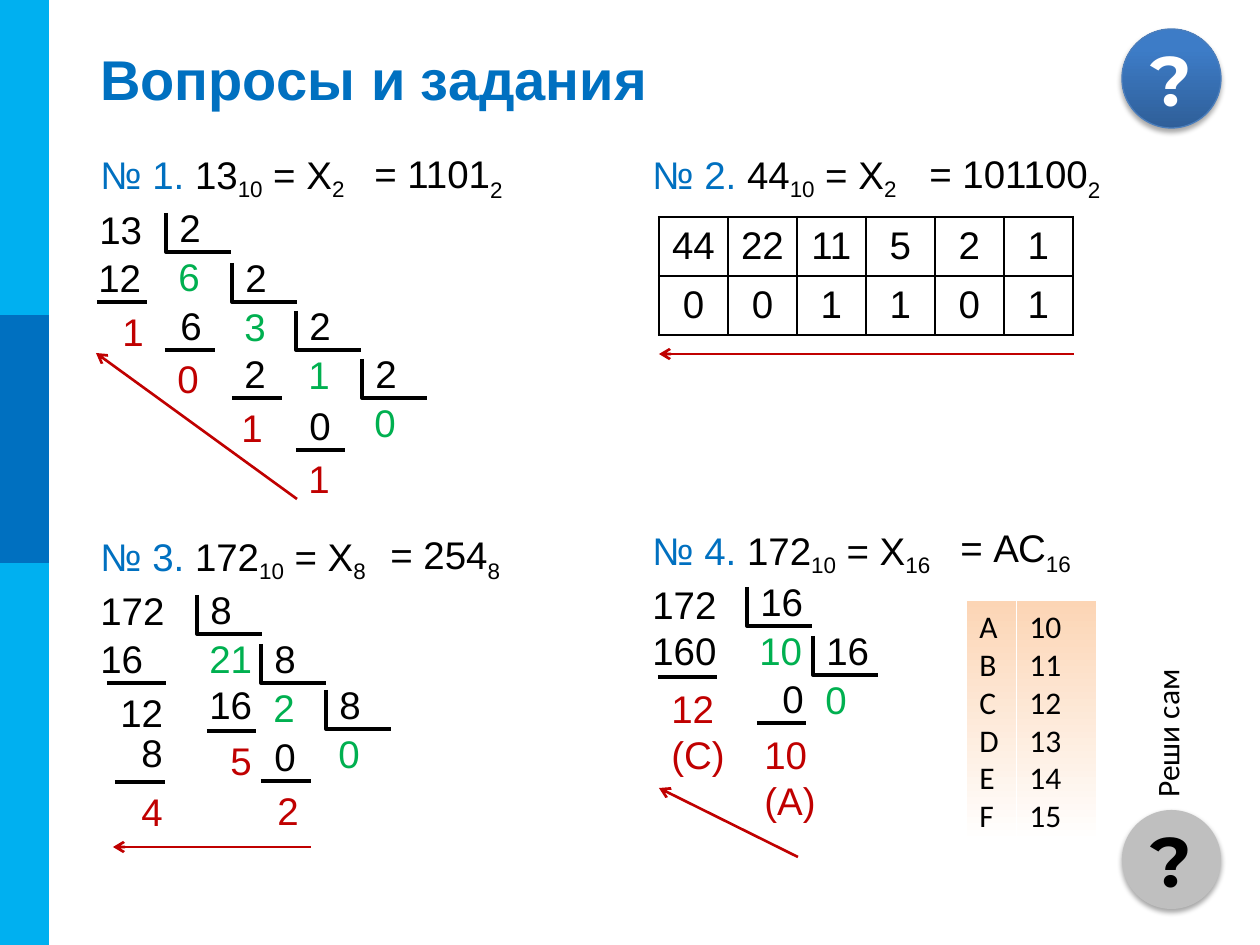
from lxml.etree import SubElement
from pptx import Presentation
from pptx.dml.color import RGBColor
from pptx.enum.shapes import MSO_CONNECTOR as Connector, MSO_SHAPE as Shape
from pptx.enum.text import MSO_ANCHOR as Anchor, PP_ALIGN as Align
from pptx.oxml.ns import qn
from pptx.util import Pt

PX = 914400 / 126
BLUE, GREEN, RED, BLACK = "0070C0", "00B050", "C00000", "000000"
rgb = RGBColor.from_string

deck = Presentation()
deck.slide_width, deck.slide_height = round(1260 * PX), round(945 * PX)
page = deck.slides.add_slide(deck.slide_layouts[6])
shapes = page.shapes


def emu(*lengths):
    """Turn px into EMU."""
    return [round(length * PX) for length in lengths]


def write(holder, text, colour=BLACK, size=22, font="Arial", bold=False,
          align=Align.LEFT, anchor=Anchor.TOP):
    """Fill a shape with text, one paragraph per line; return the first one."""
    frame = holder.text_frame
    frame.word_wrap = True
    frame.vertical_anchor = anchor
    frame.text = text
    for para in frame.paragraphs:
        para.alignment = align
        para.font.name, para.font.size, para.font.bold = font, Pt(size), bold
        para.font.color.rgb = rgb(colour)
    return frame.paragraphs[0]


# Side band and title
for top, height, colour in [(0, 945, "00B0F0"), (315, 248, BLUE)]:
    band = shapes.add_shape(Shape.RECTANGLE, *emu(0, top, 49, height))
    band.shadow.inherit = False
    band.fill.solid()
    band.fill.fore_color.rgb = rgb(colour)
    band.line.fill.background()

title = shapes.add_textbox(*emu(88, 38, 1137, 81))
write(title, "Вопросы и задания", BLUE, 32, bold=True, anchor=Anchor.MIDDLE)

# Round question marks
for top, colour in [(29, "FFFFFF"), (810, BLACK)]:
    badge = shapes.add_shape(Shape.OVAL, *emu(1122, top, 99, 99))
    if colour == BLACK:
        badge.fill.solid()
        badge.fill.fore_color.rgb = rgb("BFBFBF")
        badge.line.fill.background()
    else:
        badge.fill.gradient()
        badge.fill.gradient_angle = 90
        dark, light = badge.fill.gradient_stops
        dark.color.rgb, light.color.rgb = rgb("2F5F99"), rgb("3D7CC7")
        light.position = 0.8
        badge.line.color.rgb = rgb("4B7EBC")
        badge.line.width = Pt(0.75)
    badge.shadow.inherit = False
    effects = badge._element.spPr.find(qn("a:effectLst"))
    shadow = SubElement(effects, qn("a:outerShdw"), blurRad="39000",
                        dist="23000", dir="5400000", rotWithShape="0")
    shade = SubElement(shadow, qn("a:srgbClr"), val=BLACK)
    SubElement(shade, qn("a:alpha"), val="35000")
    write(badge, "?", colour, 40, "Montserrat", True, Align.CENTER, Anchor.MIDDLE)

# Tasks: number, decimal value, base, place, answer and its place
tasks = [
    (1, "13", "2", 88, 147, "1101", 362, 144),
    (2, "44", "2", 640, 147, "101100", 917, 144),
    (3, "172", "8", 88, 529, "254", 378, 525),
    (4, "172", "16", 640, 523, "АС", 948, 518),
]
for number, value, base, left, top, answer, answer_left, answer_top in tasks:
    question = shapes.add_textbox(*emu(left, top, 400, 59))
    result = shapes.add_textbox(*emu(answer_left, answer_top, 238, 59))
    para = write(question, "")
    para.line_spacing, para.space_before = 0.9, Pt(4.4)
    parts = [(para, f"№ {number}. ", 0), (para, value, 0), (para, "10", -20),
             (para, " = Х", 0), (para, base, -20)]
    para = write(result, "")
    parts += [(para, f"= {answer}", 0), (para, base, -25)]
    for para, text, drop in parts:
        span = para.add_run()
        span.text = text
        if drop:
            span._r.get_or_add_rPr().set("baseline", str(drop * 1000))
        if text.startswith("№"):
            span.font.color.rgb = rgb(BLUE)

# Long division: corner place, divisor, quotient
steps = [
    (166, 213, "2", "6"), (232, 263, "2", "3"),
    (296, 311, "2", "1"), (362, 359, "2", "0"),
    (197, 595, "8", "21"), (261, 644, "8", "2"), (326, 690, "8", "0"),
    (747, 587, "16", "10"), (813, 636, "16", "0"),
]
numbers = [
    (87, 200, "13", BLACK), (86, 248, "12", BLACK), (168, 296, "6", BLACK),
    (232, 344, "2", BLACK), (297, 396, "0", BLACK),
    (110, 302, "1", RED), (165, 349, "0", RED),
    (229, 398, "1", RED), (296, 449, "1", RED),
    (88, 581, "172", BLACK), (88, 629, "16", BLACK), (108, 683, "12", BLACK),
    (129, 723, "8", BLACK), (197, 675, "16", BLACK), (262, 727, "0", BLACK),
    (129, 782, "4", RED), (218, 731, "5", RED), (265, 781, "2", RED),
    (640, 575, "172", BLACK), (640, 621, "160", BLACK), (770, 669, "0", BLACK),
    (659, 679, "12 (С)", RED), (752, 725, "10 (А)", RED),
]
for left, top, divisor, quotient in steps:
    builder = shapes.build_freeform(left, top, scale=PX)
    builder.add_line_segments([(left, top + 39), (left + 65, top + 39)], close=False)
    corner = builder.convert_to_shape()
    corner.shadow.inherit = False
    corner.fill.background()
    corner.line.color.rgb = rgb(BLACK)
    corner.line.width = Pt(2.25)
    numbers += [(left + 1, top - 15, divisor, BLACK),
                (left, top + 34, quotient, GREEN)]

for left, top, text, colour in numbers:
    size = (92, 106) if "(" in text else (110 if len(text) > 2 else 80, 59)
    write(shapes.add_textbox(*emu(left, top, *size)), text, colour)

# Subtraction lines, then arrows that show the reading order
underlines = [
    (97, 302, 147), (165, 350, 215), (232, 398, 282), (296, 450, 345),
    (107, 683, 166), (115, 782, 165), (207, 731, 256), (261, 781, 311),
    (658, 677, 717), (757, 723, 806),
]
arrows = [(297, 499, 96, 353), (1074, 354, 659, 354),
          (311, 847, 113, 847), (798, 857, 659, 788)]
strokes = [(left, y, right, y, BLACK, 2.25) for left, y, right in underlines]
strokes += [(*ends, RED, 1.5) for ends in arrows]
for *ends, colour, width in strokes:
    stroke = shapes.add_connector(Connector.STRAIGHT, *emu(*ends))
    stroke.line.color.rgb = rgb(colour)
    stroke.line.width = Pt(width)
    if colour == RED:
        SubElement(stroke.line._get_or_add_ln(), qn("a:tailEnd"), type="arrow")
    SubElement(stroke._element.spPr, qn("a:effectLst"))

# Halving table: quotients above, remainders below
rows = [["44", "22", "11", "5", "2", "1"], ["0", "0", "1", "1", "0", "1"]]
table = shapes.add_table(2, 6, *emu(659, 217, 414, 118)).table
table.first_row = table.horz_banding = False
for row, texts in enumerate(rows):
    for column, text in enumerate(texts):
        cell = table.cell(row, column)
        cell.margin_left = cell.margin_right = 0
        cell.vertical_anchor = Anchor.MIDDLE
        cell.text = text
        para = cell.text_frame.paragraphs[0]
        para.alignment = Align.CENTER
        para.font.name, para.font.size = "Arial", Pt(22)
        para.font.color.rgb = rgb(BLACK)
        for side in ("lnL", "lnR", "lnT", "lnB"):
            border = SubElement(cell._tc.get_or_add_tcPr(), qn(f"a:{side}"), w="19050")
            ink = SubElement(border, qn("a:solidFill"))
            SubElement(ink, qn("a:srgbClr"), val=BLACK)
        cell.fill.background()

# Hexadecimal digits and their values
for left, width, texts in [(967, 49, "ABCDEF"), (1017, 79, map(str, range(10, 16)))]:
    panel = shapes.add_shape(Shape.RECTANGLE, *emu(left, 601, width, 242))
    panel.shadow.inherit = False
    panel.line.fill.background()
    panel.fill.gradient()
    panel.fill.gradient_angle = 270
    for stop, colour in zip(panel.fill.gradient_stops, ("FCD5B5", "FFFFFF")):
        stop.color.rgb = rgb(colour)
    write(panel, "\n".join(texts), size=18, font="Calibri")

label = shapes.add_textbox(*emu(1091, 708, 160, 44))
label.rotation = 270
write(label, "Реши сам", size=18, font="Calibri").line_spacing = 0.8

deck.save("out.pptx")
